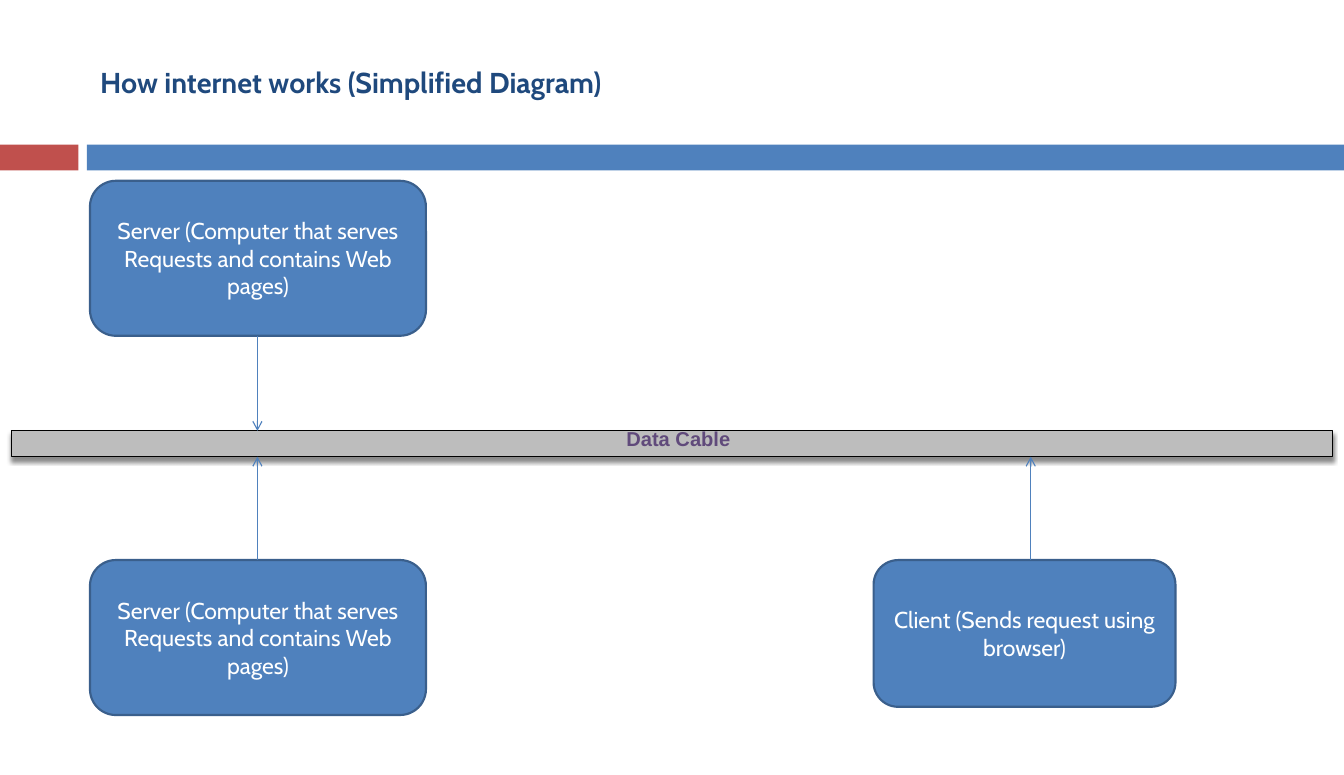
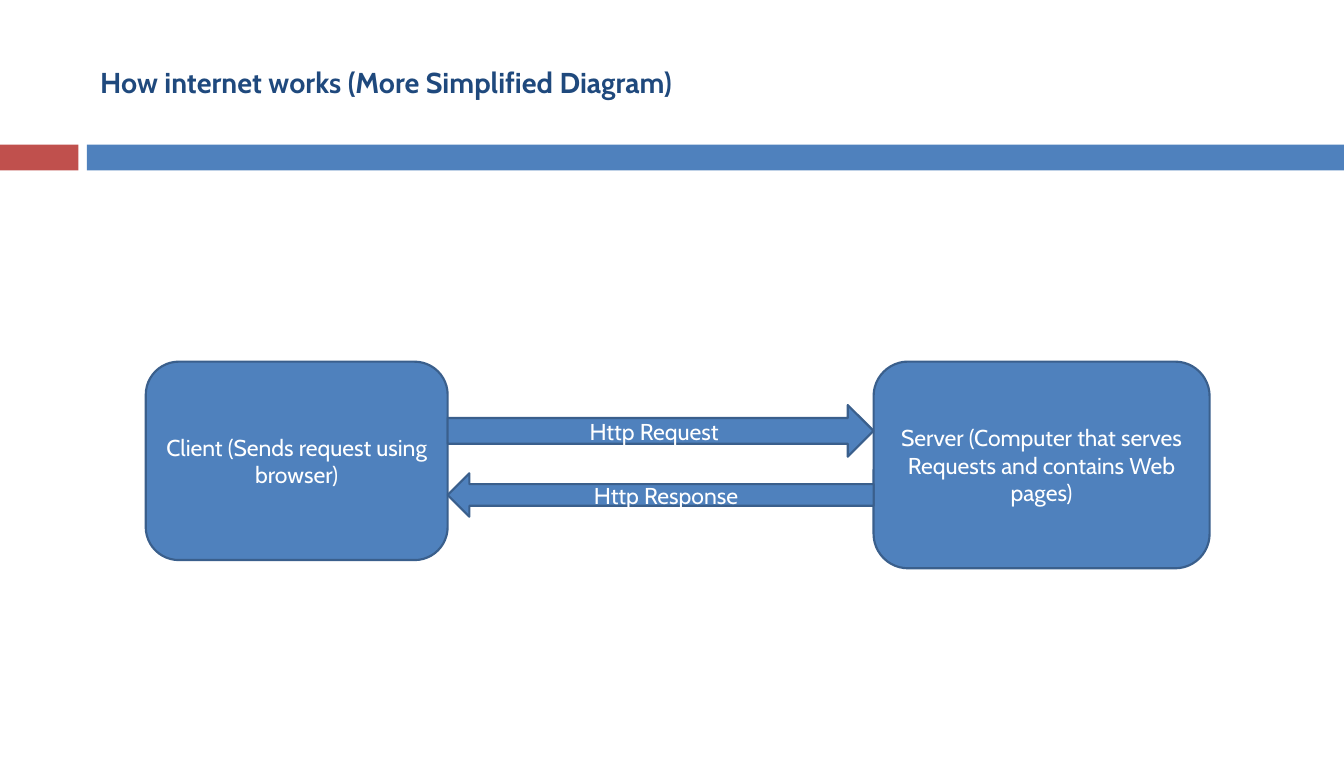
"""Builds two slides that show how a client and a server talk over the internet."""
from lxml import etree
from pptx import Presentation
from pptx.dml.color import RGBColor
from pptx.enum.shapes import MSO_CONNECTOR, MSO_SHAPE
from pptx.enum.text import MSO_ANCHOR, PP_ALIGN
from pptx.oxml.ns import qn
from pptx.util import Inches, Pt

WIDTH, HEIGHT = 13, 7.5
RED, BLUE, EDGE, NAVY = "C0504D", "4F81BD", "3A5F8C", "1F497D"
WHITE, BLACK, GREY, PURPLE = "FFFFFF", "000000", "BDBDBD", "604A7B"

SERVER = "Server (Computer that serves Requests and contains Web pages)"
CLIENT = "Client (Sends request using browser)"
ROUND = MSO_SHAPE.ROUNDED_RECTANGLE

TITLE_AT = (0.87, 0.25, 11.59, 1.08)
BANDS = [(RED, (0, 1.4, 0.76, 0.25)), (BLUE, (0.84, 1.4, 12.16, 0.25))]

CABLE_AT = (0.11, 4.17, 12.78, 0.25)
CABLE_LABEL, CABLE_LABEL_AT = "Data Cable", (5.96, 4.08, 5.63, 0.34)
NETWORK_TITLE = "How internet works (Simplified Diagram)"
COMPUTERS = [
    (SERVER, (0.87, 1.75, 3.25, 1.5), 2.49),
    (SERVER, (0.87, 5.42, 3.25, 1.5), 2.49),
    (CLIENT, (8.45, 5.42, 2.92, 1.42), 9.97),
]

EXCHANGE_TITLE = "How internet works (More Simplified Diagram)"
CLIENT_AT = (1.41, 3.5, 2.92, 1.92)
SERVER_AT = (8.45, 3.5, 3.25, 2)
MESSAGES = [
    ("Http Request", MSO_SHAPE.RIGHT_ARROW, 3.92, 0.5),
    ("Http Response", MSO_SHAPE.LEFT_ARROW, 4.58, 0.42),
]


def color(hex_code):
    return RGBColor.from_string(hex_code)


def inches(place):
    return [Inches(length) for length in place]


def write(shape, text, size=16, font="Cabin", ink=WHITE, bold=False,
          align=PP_ALIGN.CENTER, anchor=MSO_ANCHOR.MIDDLE):
    frame = shape.text_frame
    frame.word_wrap = True
    frame.vertical_anchor = anchor
    paragraph = frame.paragraphs[0]
    paragraph.alignment = align
    run = paragraph.add_run()
    run.text = text
    run.font.name = font
    run.font.size = Pt(size)
    run.font.bold = bold
    run.font.color.rgb = color(ink)


def add_block(slide, kind, place, fill, edge=None, weight=1.5):
    block = slide.shapes.add_shape(kind, *inches(place))
    block.shadow.inherit = False
    block.fill.solid()
    block.fill.fore_color.rgb = color(fill)
    if edge:
        block.line.color.rgb = color(edge)
        block.line.width = Pt(weight)
    else:
        block.line.fill.background()
    return block


def add_node(slide, text, place, kind=ROUND):
    write(add_block(slide, kind, place, BLUE, EDGE), text)


def add_label(slide, text, place, **style):
    label = slide.shapes.add_textbox(*inches(place))
    write(label, text, bold=True, align=PP_ALIGN.LEFT, **style)


def add_arrow(slide, x, start, end):
    arrow = slide.shapes.add_connector(
        MSO_CONNECTOR.STRAIGHT, *inches((x, start, x, end)))
    arrow.line.color.rgb = color(BLUE)
    arrow.line.width = Pt(0.79)
    etree.SubElement(arrow.line._get_or_add_ln(), qn("a:tailEnd"), type="arrow")
    etree.SubElement(arrow._element.spPr, qn("a:effectLst"))


def add_cable(slide):
    cable = add_block(slide, MSO_SHAPE.RECTANGLE, CABLE_AT, GREY, BLACK, 0.79)
    effects = cable._element.spPr.find(qn("a:effectLst"))
    shadow = etree.SubElement(
        effects, qn("a:outerShdw"), blurRad=str(Pt(3)), dist=str(Pt(2.4)),
        dir="5400000", rotWithShape="0")
    tint = etree.SubElement(shadow, qn("a:srgbClr"), val=BLACK)
    etree.SubElement(tint, qn("a:alpha"), val="45000")
    add_label(slide, CABLE_LABEL, CABLE_LABEL_AT, size=14, font="Arial",
              ink=PURPLE, anchor=MSO_ANCHOR.TOP)


def add_slide(deck, title):
    slide = deck.slides.add_slide(deck.slide_layouts[6])
    for fill, place in BANDS:
        add_block(slide, MSO_SHAPE.RECTANGLE, place, fill)
    add_label(slide, title, TITLE_AT, size=20, ink=NAVY)
    return slide


def build_network(deck):
    slide = add_slide(deck, NETWORK_TITLE)
    add_cable(slide)
    cable_top, cable_height = CABLE_AT[1], CABLE_AT[3]
    for text, place, arrow_x in COMPUTERS:
        top, height = place[1], place[3]
        add_node(slide, text, place)
        if top < cable_top:
            add_arrow(slide, arrow_x, top + height, cable_top)
        else:
            add_arrow(slide, arrow_x, top, cable_top + cable_height)


def build_exchange(deck):
    slide = add_slide(deck, EXCHANGE_TITLE)
    add_node(slide, SERVER, SERVER_AT)
    add_node(slide, CLIENT, CLIENT_AT)
    left = CLIENT_AT[0] + CLIENT_AT[2]
    gap = SERVER_AT[0] - left
    for text, kind, top, height in MESSAGES:
        add_node(slide, text, (left, top, gap, height), kind)


def main():
    deck = Presentation()
    deck.slide_width, deck.slide_height = inches((WIDTH, HEIGHT))
    build_network(deck)
    build_exchange(deck)
    deck.save("out.pptx")


if __name__ == "__main__":
    main()
